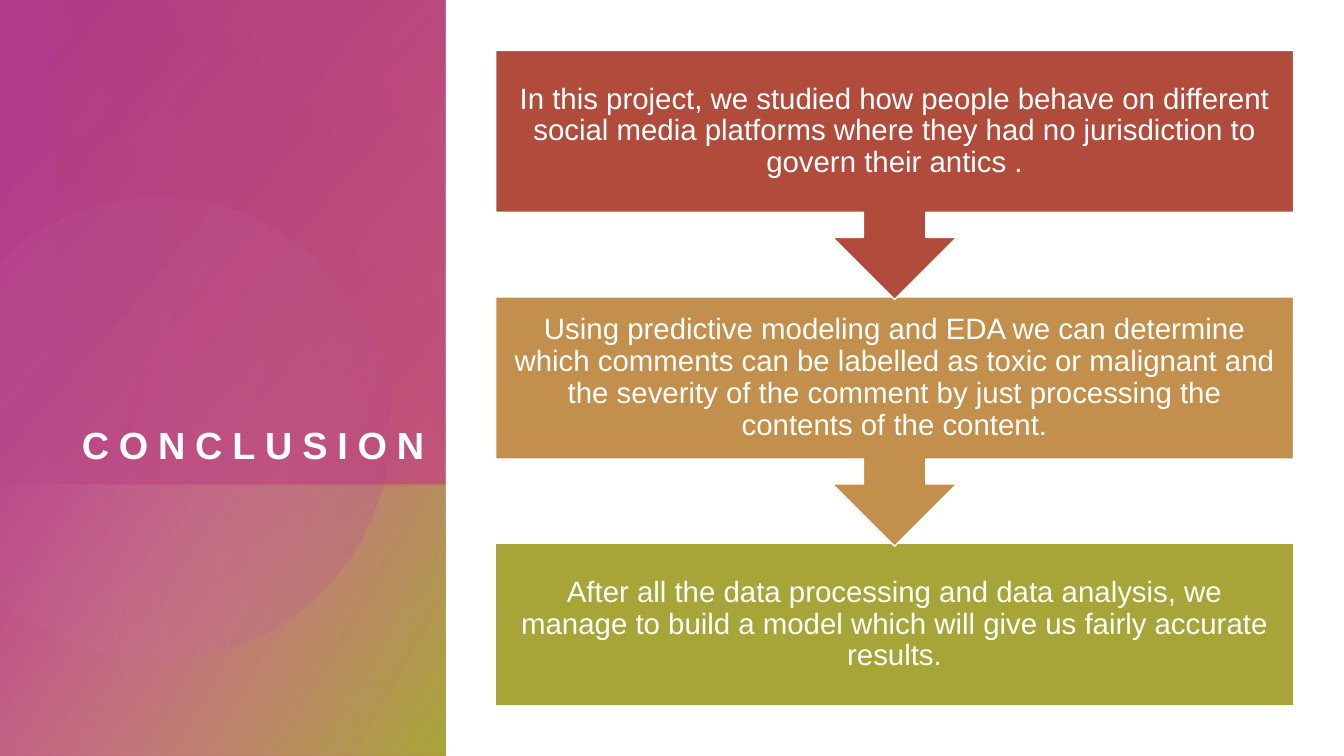
from math import acos, cos, sin

from lxml import etree
from pptx import Presentation
from pptx.dml.color import RGBColor
from pptx.enum.shapes import MSO_SHAPE
from pptx.enum.text import MSO_ANCHOR, MSO_AUTO_SIZE, PP_ALIGN
from pptx.oxml.ns import qn
from pptx.util import Pt

RECT, CALLOUT = MSO_SHAPE.RECTANGLE, MSO_SHAPE.UP_ARROW_CALLOUT
MIDDLE, BOTTOM = MSO_ANCHOR.MIDDLE, MSO_ANCHOR.BOTTOM
CENTER, RIGHT = PP_ALIGN.CENTER, PP_ALIGN.RIGHT
NO_FIT = MSO_AUTO_SIZE.NONE

WHITE = "FFFFFF"
STEPS = [
    ("B14B3B", "In this project, we studied how people behave on different social media "
               "platforms where they had no jurisdiction to govern their antics ."),
    ("C38F4D", "Using predictive modeling and EDA we can determine which comments can be "
               "labelled as toxic or malignant and the severity of the comment by just "
               "processing the contents of the content."),
    ("A8A538", "After all the data processing and data analysis, we manage to build a model "
               "which will give us fairly accurate results."),
]


def rgb(value):
    """Return the colour for a hex string."""
    return RGBColor.from_string(value)


def put_text(sp, text, size=21, bold=False, align=CENTER, anchor=MIDDLE,
             inset=11.5, line=0.9, spacing=None):
    """Write one formatted paragraph into a shape."""
    tf = sp.text_frame
    tf.word_wrap, tf.auto_size, tf.vertical_anchor = True, NO_FIT, anchor
    tf.margin_left = tf.margin_right = tf.margin_top = tf.margin_bottom = Pt(inset)
    p = tf.paragraphs[0]
    p.alignment, p.line_spacing = align, line
    r = p.add_run()
    r.text = text
    r.font.name, r.font.size, r.font.bold = "Arial", Pt(size), bold
    r.font.color.rgb = rgb(WHITE)
    if spacing:
        r._r.get_or_add_rPr().set("spc", str(spacing * 100))


def shade(sp, stops, angle):
    """Fill a shape with a two-stop gradient of (position, colour, opacity)."""
    sp.shadow.inherit = False
    sp.line.fill.background()
    sp.fill.gradient()
    sp.fill.gradient_angle = 360 - angle
    for stop, (position, color, _) in zip(sp.fill.gradient_stops, stops):
        stop.position, stop.color.rgb = position / 100, rgb(color)
    for clr, (_, _, opacity) in zip(sp._element.spPr.iter(qn("a:srgbClr")), stops):
        etree.SubElement(clr, qn("a:alpha")).set("val", str(opacity * 1000))


def add_turned_layer(s, box, rotation, stops, angle):
    """Add a mirrored gradient rectangle that fills the box after a quarter turn."""
    left, top, width, height = box
    shift = (width - height) / 2
    sp = s.shapes.add_shape(RECT, Pt(left + shift), Pt(top - shift), Pt(height), Pt(width))
    sp.rotation = rotation
    sp._element.spPr.xfrm.set("flipH", "1")
    shade(sp, stops, angle)


def add_cut_circle(s, cx, cy, radius, stops, angle):
    """Add a circle cut off straight at the left edge of the slide."""
    end, count = acos(-cx / radius), 120
    angles = [end * (2 * i / count - 1) for i in range(count + 1)]
    points = [(cx + radius * cos(a), cy + radius * sin(a)) for a in angles]
    builder = s.shapes.build_freeform(*points[0], scale=Pt(1))
    builder.add_line_segments(points[1:], close=True)
    shade(builder.convert_to_shape(), stops, angle)


def add_title_panel(s, box, title):
    """Draw the coloured panel with the title above its lower band."""
    left, top, width, height = box
    split = top + 346.5
    add_turned_layer(s, box, 270, [(8, "B13B8D", 100), (100, "C34D6D", 89)], 50)
    add_turned_layer(s, (left, split, width, top + height - split), 270,
                     [(0, "DB94A7", 0), (99, "A8A538", 100)], 60)
    add_cut_circle(s, left + 113, top + 306, 165,
                   [(36, "D684BD", 6), (100, "B13B8D", 26)], 14)
    add_turned_layer(s, (left + 36, top, width - 36, split - top), 90,
                     [(0, "C34D6D", 29), (100, "B14B3B", 0)], 110)
    sp = s.shapes.title
    s.shapes._spTree.append(sp._element)
    sp.left, sp.top, sp.width, sp.height = Pt(left + 36), Pt(top + 68.4), Pt(267), Pt(265)
    put_text(sp, title, size=27, bold=True, align=RIGHT, anchor=BOTTOM,
             inset=0, line=1, spacing=7)


def add_steps(s, box, steps):
    """Stack the steps in the box, each pointing down to the next."""
    left, top, width, height = box
    body, callout = 115.7, 178
    pitch = (height - body) / (len(steps) - 1)
    for i, (color, text) in reversed(list(enumerate(steps))):
        last = i == len(steps) - 1
        x, y, w = Pt(left), Pt(top + i * pitch), Pt(width)
        sp = s.shapes.add_shape(RECT if last else CALLOUT, x, y, w, Pt(body if last else callout))
        sp.shadow.inherit = False
        sp.fill.solid()
        sp.fill.fore_color.rgb = rgb(color)
        sp.line.color.rgb, sp.line.width = rgb(WHITE), Pt(1)
        if not last:
            sp.rotation = 180
            sp = s.shapes.add_textbox(x, y, w, Pt(body))
        put_text(sp, text)


def main():
    """Build the slide and save it."""
    prs = Presentation()
    prs.slide_width, prs.slide_height = Pt(960), Pt(540)
    s = prs.slides.add_slide(prs.slide_layouts[5])
    add_title_panel(s, (0, 0, 318, 540), "CONCLUSION")
    add_steps(s, (354, 36, 570, 468), STEPS)
    prs.save("out.pptx")


if __name__ == "__main__":
    main()
